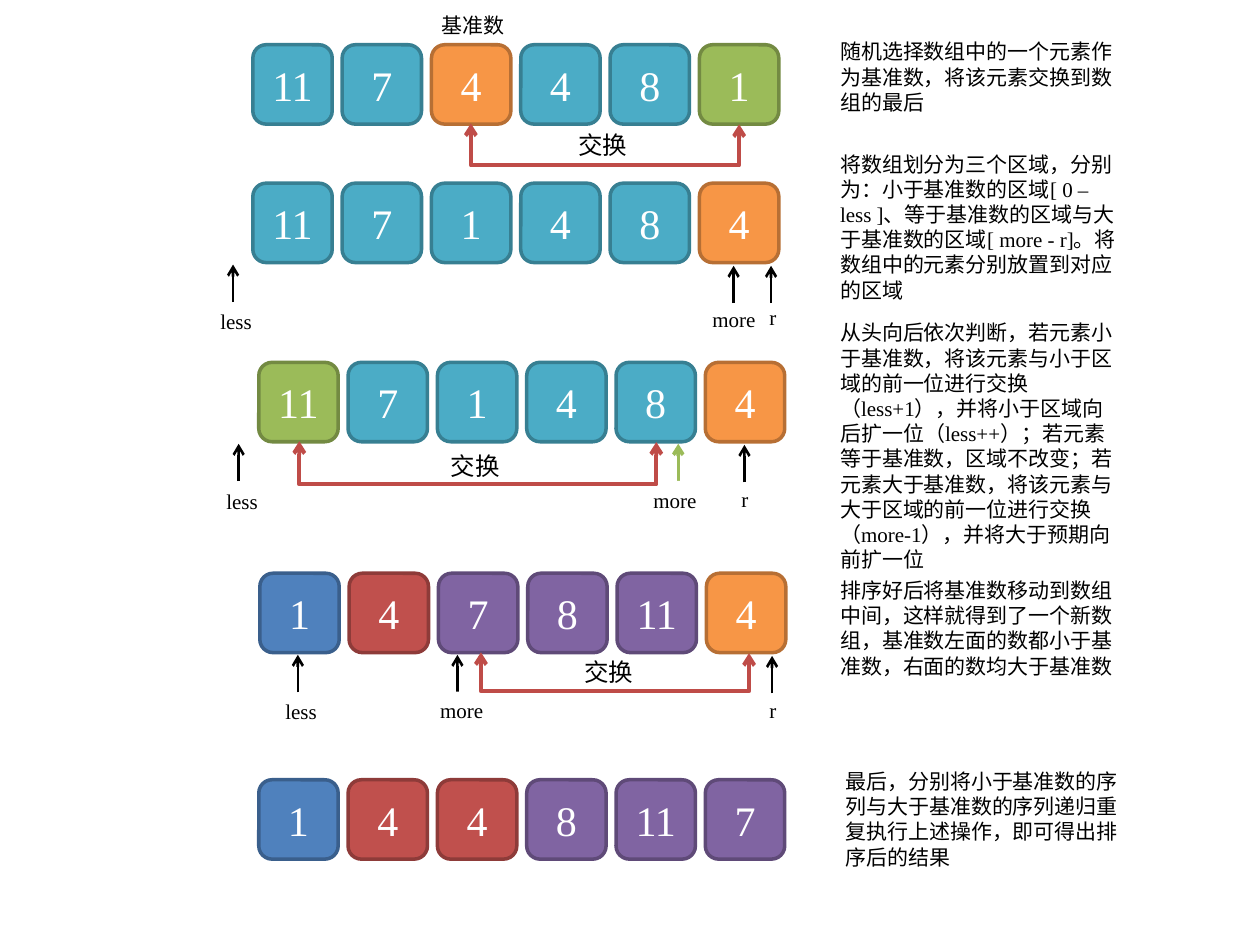
from dataclasses import dataclass
from typing import NamedTuple

from lxml.etree import SubElement
from pptx import Presentation
from pptx.dml.color import RGBColor
from pptx.enum.lang import MSO_LANGUAGE_ID
from pptx.enum.shapes import MSO_CONNECTOR, MSO_SHAPE
from pptx.enum.text import MSO_ANCHOR, PP_ALIGN
from pptx.oxml.ns import qn
from pptx.util import Pt


class Paint(NamedTuple):
    fill: str
    line: str


@dataclass(frozen=True)
class Theme:
    pending: Paint = Paint("4BACC6", "377F92")
    pivot: Paint = Paint("F79646", "B76F34")
    active: Paint = Paint("9BBB59", "738A42")
    smaller: Paint = Paint("4F81BD", "3A5F8C")
    equal: Paint = Paint("C0504D", "8E3B39")
    larger: Paint = Paint("8064A2", "5F4A78")
    swap: str = "BF4C48"
    ink: str = "000000"
    paper: str = "FFFFFF"
    latin: str = "Times New Roman"
    chinese: str = "Noto Sans CJK JP"
    chinese_mark: str = "Noto Sans CJK SC"
    body_size: float = 12
    swap_size: float = 14
    number_size: float = 24


THEME = Theme()
CELL_SIZE, CELL_PITCH = 45.36, 51.04
POINTER_HEIGHT, LABEL_HEIGHT = 21.4, 21.8
LABEL_WIDTHS = {"less": 36.7, "more": 43.2, "r": 21.6}
NOTE_WIDTH = 175.7


class ArrayRow(NamedTuple):
    left: float
    top: float
    numbers: str
    paints: list[Paint]


class Pointer(NamedTuple):
    name: str
    x: float
    bottom: float
    label_left: float
    label_top: float
    color: str = THEME.ink
    width: float = 1.5
    masked: bool = False


class Swap(NamedTuple):
    left: float
    right: float
    top: float
    drop: float
    label_left: float
    label_top: float


class Note(NamedTuple):
    left: float
    top: float
    height: float
    runs: list[tuple[str, str]]


P, V, A = THEME.pending, THEME.pivot, THEME.active
S, E, L = THEME.smaller, THEME.equal, THEME.larger
ROWS = [
    ArrayRow(144.5, 25.6, "11 7 4 4 8 1", [P, P, V, P, P, A]),
    ArrayRow(144.5, 104.7, "11 7 1 4 8 4", [P, P, P, P, P, V]),
    ArrayRow(147.9, 207.1, "11 7 1 4 8 4", [A, P, P, P, P, V]),
    ArrayRow(148.5, 327.6, "1 4 7 8 11 4", [S, E, L, L, L, V]),
    ArrayRow(147.9, 445.6, "1 4 4 8 11 7", [S, E, E, L, L, L]),
]
POINTERS = [
    Pointer("less", 133.2, 172.6, 118.8, 173),
    Pointer("more", 419.2, 173.3, 400, 171.6),
    Pointer("r", 440.6, 173.3, 432.6, 170.6),
    Pointer("less", 136.4, 275, 122.2, 275.4),
    Pointer("more", 387.6, 275, 366.3, 274.8, A.fill, 2, True),
    Pointer("r", 425.4, 275.6, 416.6, 274.6),
    Pointer("less", 170.2, 395.6, 156, 395.6),
    Pointer("more", 261.4, 395.6, 244.4, 395.2, masked=True),
    Pointer("r", 441.2, 396.2, 432.6, 395.2),
]
SWAPS = [
    Swap(269.1, 422.4, 70.8, 23.5, 323.4, 70.6),
    Swap(171, 375, 252.4, 24.2, 250.6, 254.2),
    Swap(274.8, 428, 373, 21.8, 326.9, 372.2),
]
ZH, EN = THEME.chinese, THEME.latin
NOTES = [
    Note(245.5, 3.6, 21.8, [("基准数", ZH)]),
    Note(473, 18.7, 51.1, [("随机选择数组中的一个元素作为基准数，将该元素交换到数组的最后", ZH)]),
    Note(473, 82.8, 94.3, [
        ("将数组划分为三个区域，分别为：小于基准数的区域", ZH),
        ("[ 0 – less ]", EN),
        ("、", THEME.chinese_mark),
        ("等于基准数的区域与大于基准数的区域", ZH),
        ("[ more - r]", EN),
        ("。将数组中的元素分别放置到对应的区域", ZH),
    ]),
    Note(473, 179.3, 138.2, [
        ("从头向后依次判断，若元素小于基准数，将该元素与小于区域的前一位进行交换", ZH),
        ("（less+1），", EN),
        ("并将小于区域向后扩一位", ZH),
        ("（less++）；", EN),
        ("若元素等于基准数，区域不改变；若元素大于基准数，将该元素与大于区域的前一位进行交换", ZH),
        ("（more-1），", EN),
        ("并将大于预期向前扩一位", ZH),
    ]),
    Note(473, 326.5, 65.5, [
        ("排序好后将基准数移动到数组中间，这样就得到了一个新数组，"
         "基准数左面的数都小于基准数，右面的数均大于基准数", ZH)]),
    Note(475.9, 435.6, 65.5, [
        ("最后，分别将小于基准数的序列与大于基准数的序列递归重复执行上述操作，即可得出排序后的结果", ZH)]),
]


def format_run(run, font_name: str, size: float, color: str) -> None:
    """Sets the Latin and the East Asian typeface along with size and colour."""
    run.font.size = Pt(size)
    run.font.color.rgb = RGBColor.from_string(color)
    run.font.name = font_name
    run.font.language_id = MSO_LANGUAGE_ID.SIMPLIFIED_CHINESE
    east_asian = THEME.chinese if font_name == THEME.latin else font_name
    SubElement(run.font._element, qn("a:ea"), typeface=east_asian)


def add_text(slide, left: float, top: float, width: float, height: float,
             runs: list[tuple[str, str]], size: float = THEME.body_size):
    text_box = slide.shapes.add_textbox(Pt(left), Pt(top), Pt(width), Pt(height))
    text_box.text_frame.word_wrap = True
    paragraph = text_box.text_frame.paragraphs[0]
    for text, font_name in runs:
        run = paragraph.add_run()
        run.text = text
        format_run(run, font_name, size, THEME.ink)
    return text_box


def draw_row(slide, row: ArrayRow) -> None:
    for index, (number, paint) in enumerate(zip(row.numbers.split(), row.paints)):
        shape = slide.shapes.add_shape(
            MSO_SHAPE.ROUNDED_RECTANGLE, Pt(row.left + index * CELL_PITCH),
            Pt(row.top), Pt(CELL_SIZE), Pt(CELL_SIZE))
        shape.shadow.inherit = False
        shape.fill.solid()
        shape.fill.fore_color.rgb = RGBColor.from_string(paint.fill)
        shape.line.color.rgb = RGBColor.from_string(paint.line)
        shape.line.width = Pt(2)
        shape.text_frame.text = number
        shape.text_frame.vertical_anchor = MSO_ANCHOR.MIDDLE
        paragraph = shape.text_frame.paragraphs[0]
        paragraph.alignment = PP_ALIGN.CENTER
        format_run(paragraph.runs[0], THEME.latin, THEME.number_size, THEME.paper)


def style_connector(connector, color: str, width: float, ends: list[str]) -> None:
    connector.line.color.rgb = RGBColor.from_string(color)
    connector.line.width = Pt(width)
    for end in ends:
        SubElement(connector.line._get_or_add_ln(), qn(f"a:{end}"), type="arrow")
    SubElement(connector._element.spPr, qn("a:effectLst"))


def draw_pointer(slide, pointer: Pointer) -> None:
    arrow = slide.shapes.add_connector(
        MSO_CONNECTOR.STRAIGHT, Pt(pointer.x), Pt(pointer.bottom),
        Pt(pointer.x), Pt(pointer.bottom - POINTER_HEIGHT))
    style_connector(arrow, pointer.color, pointer.width, ["tailEnd"])
    label = add_text(slide, pointer.label_left, pointer.label_top,
                     LABEL_WIDTHS[pointer.name], LABEL_HEIGHT, [(pointer.name, EN)])
    if pointer.masked:
        label.fill.solid()
        label.fill.fore_color.rgb = RGBColor.from_string(THEME.paper)


def draw_swap(slide, swap: Swap) -> None:
    """Draws a U-shaped elbow: a thin tall box turned by 270 degrees."""
    add_text(slide, swap.label_left, swap.label_top, 50.4, 24.2,
             [("交换", ZH)], THEME.swap_size)
    thickness = 0.5
    center, half_span = (swap.left + swap.right) / 2, (swap.right - swap.left) / 2
    elbow = slide.shapes.add_connector(
        MSO_CONNECTOR.ELBOW, Pt(center - thickness / 2), Pt(swap.top - half_span),
        Pt(center + thickness / 2), Pt(swap.top + half_span))
    transform = elbow._element.spPr.find(qn("a:xfrm"))
    transform.set("rot", str(270 * 60000))
    transform.set("flipH", "1")
    adjustments = elbow._element.spPr.find(qn("a:prstGeom")).find(qn("a:avLst"))
    bend = round(swap.drop / thickness * 100000)
    SubElement(adjustments, qn("a:gd"), name="adj1", fmla=f"val {bend}")
    style_connector(elbow, THEME.swap, 2.25, ["headEnd", "tailEnd"])


def main() -> None:
    presentation = Presentation()
    presentation.slide_width, presentation.slide_height = Pt(720), Pt(540)
    slide = presentation.slides.add_slide(presentation.slide_layouts[6])
    for row in ROWS:
        draw_row(slide, row)
    for note in NOTES:
        add_text(slide, note.left, note.top, NOTE_WIDTH, note.height, note.runs)
    for pointer in POINTERS:
        draw_pointer(slide, pointer)
    for swap in SWAPS:
        draw_swap(slide, swap)
    presentation.save("out.pptx")


if __name__ == "__main__":
    main()
